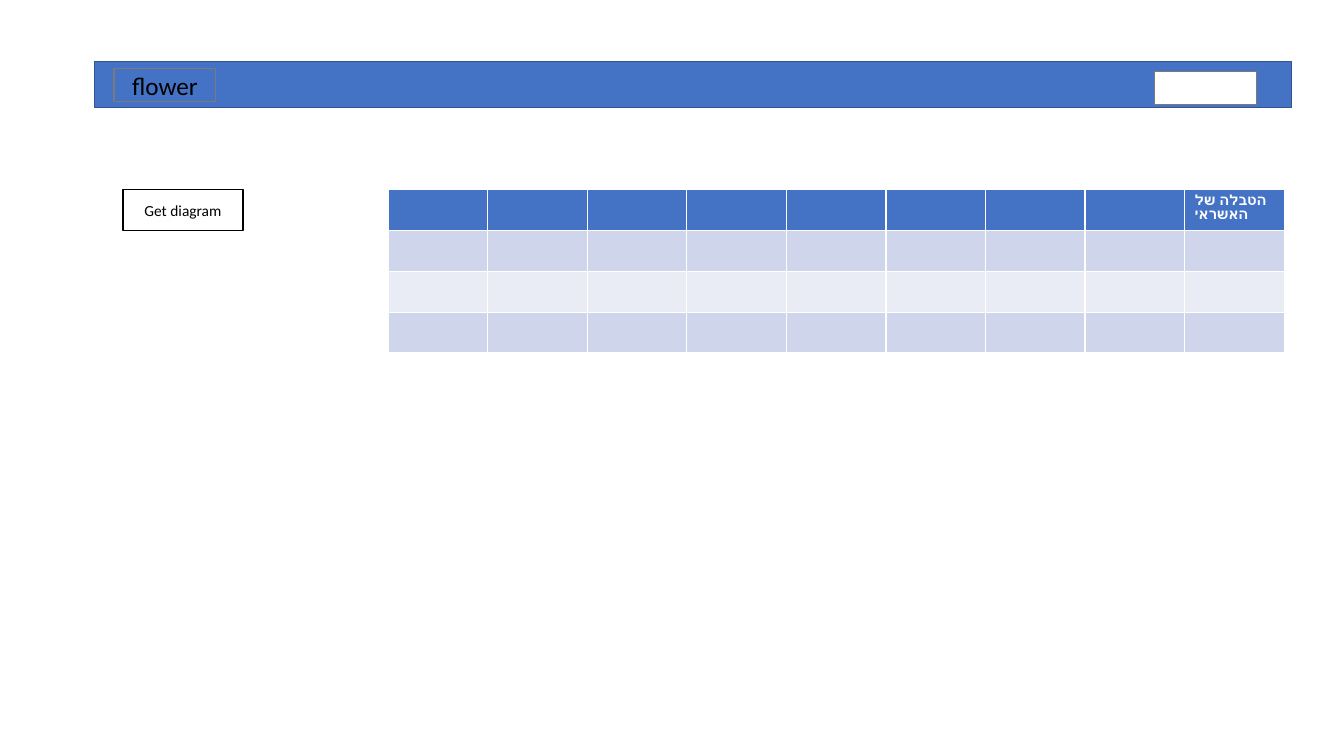
import pptx
import pptx.dml.color
import pptx.enum.shapes
import pptx.enum.text
import pptx.util

Inches = pptx.util.Inches
Pt = pptx.util.Pt

FONT = "Calibri"
COLORS = {
    "blue": "4472C4",
    "navy": "325491",
    "gray": "7A7A7A",
    "black": "000000",
    "white": "FFFFFF",
    "band_dark": "CFD5EA",
    "band_light": "E9EBF5",
}


def rgb(name):
    return pptx.dml.color.RGBColor.from_string(COLORS[name])


def style_paragraph(paragraph, size, color, bold=False):
    paragraph.font.name = FONT
    paragraph.font.size = Pt(size)
    paragraph.font.bold = bold
    paragraph.font.color.rgb = rgb(color)


def add_box(slide, left, top, width, height, fill, line, text="", size=18):
    shape = slide.shapes.add_shape(
        pptx.enum.shapes.MSO_SHAPE.RECTANGLE,
        Inches(left), Inches(top), Inches(width), Inches(height))
    shape.shadow.inherit = False
    if fill:
        shape.fill.solid()
        shape.fill.fore_color.rgb = rgb(fill)
    else:
        shape.fill.background()
    shape.line.color.rgb = rgb(line)
    shape.line.width = Pt(1)
    if text:
        shape.text_frame.vertical_anchor = pptx.enum.text.MSO_ANCHOR.MIDDLE
        paragraph = shape.text_frame.paragraphs[0]
        paragraph.text = text
        paragraph.alignment = pptx.enum.text.PP_ALIGN.CENTER
        style_paragraph(paragraph, size, "black")


def add_header_bar(slide, left, top, width, height):
    field_width, field_height = 1.01, 0.33
    add_box(slide, left, top, width, height, "blue", "navy")
    add_box(slide, left + 0.19, top + 0.07, field_width, field_height,
            None, "gray", "flower")
    add_box(slide, left + width - 0.35 - field_width, top + 0.1,
            field_width, field_height, "white", "gray")


def add_credit_table(slide, left, top, width, height):
    row_count, column_count = 4, 9
    table = slide.shapes.add_table(
        row_count, column_count,
        Inches(left), Inches(top), Inches(width), Inches(height)).table
    for row in range(row_count):
        if row == 0:
            fill = "blue"
        else:
            fill = "band_dark" if row % 2 else "band_light"
        for column in range(column_count):
            cell = table.cell(row, column)
            cell.fill.solid()
            cell.fill.fore_color.rgb = rgb(fill)
    title = table.cell(0, column_count - 1).text_frame.paragraphs[0]
    title.text = "הטבלה של האשראי"
    style_paragraph(title, 10, "white", bold=True)


def add_diagram_button(slide, left, top, width, height):
    add_box(slide, left, top, width, height, "white", "black",
            "Get diagram", 11)


def main():
    presentation = pptx.Presentation()
    presentation.slide_width = Inches(13.33)
    presentation.slide_height = Inches(7.5)
    slide = presentation.slides.add_slide(presentation.slide_layouts[6])
    add_header_bar(slide, 0.94, 0.61, 11.87, 0.46)
    add_credit_table(slide, 3.85, 1.88, 8.89, 1.62)
    add_diagram_button(slide, 1.22, 1.88, 1.19, 0.41)
    presentation.save("out.pptx")


if __name__ == "__main__":
    main()
